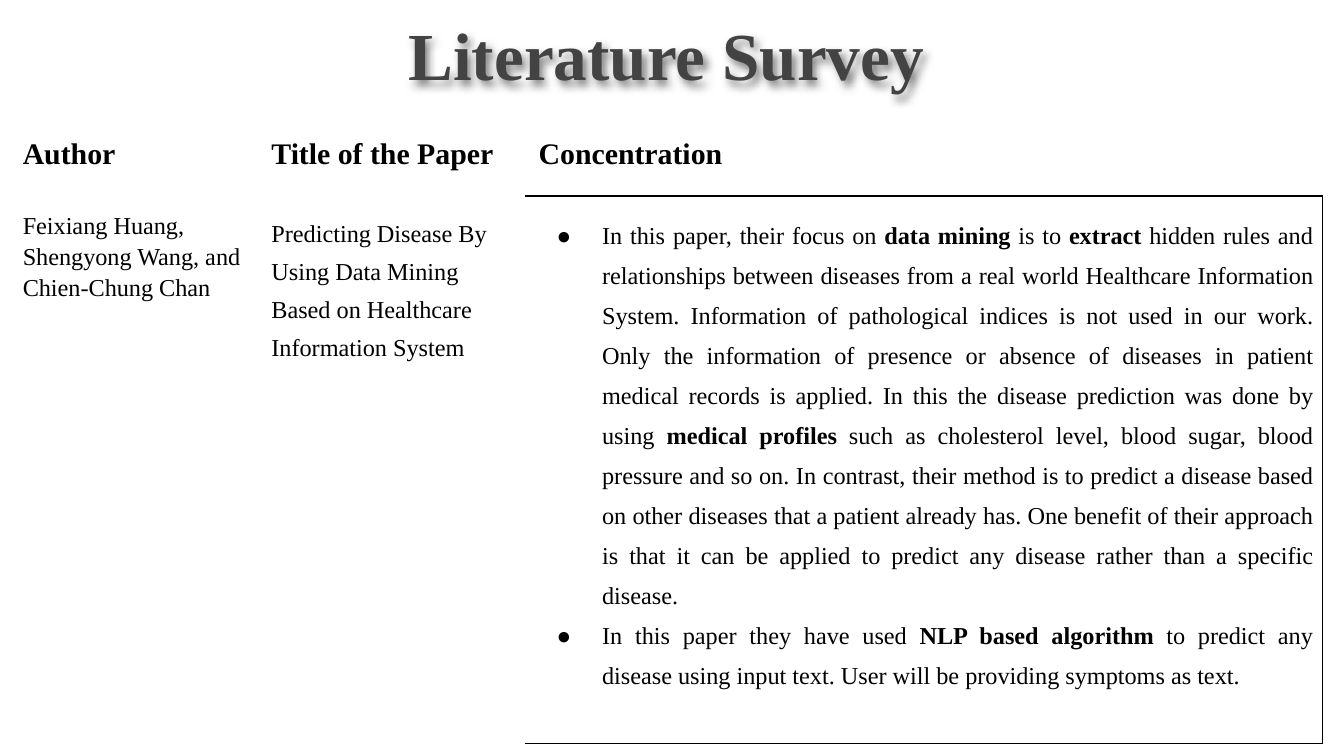
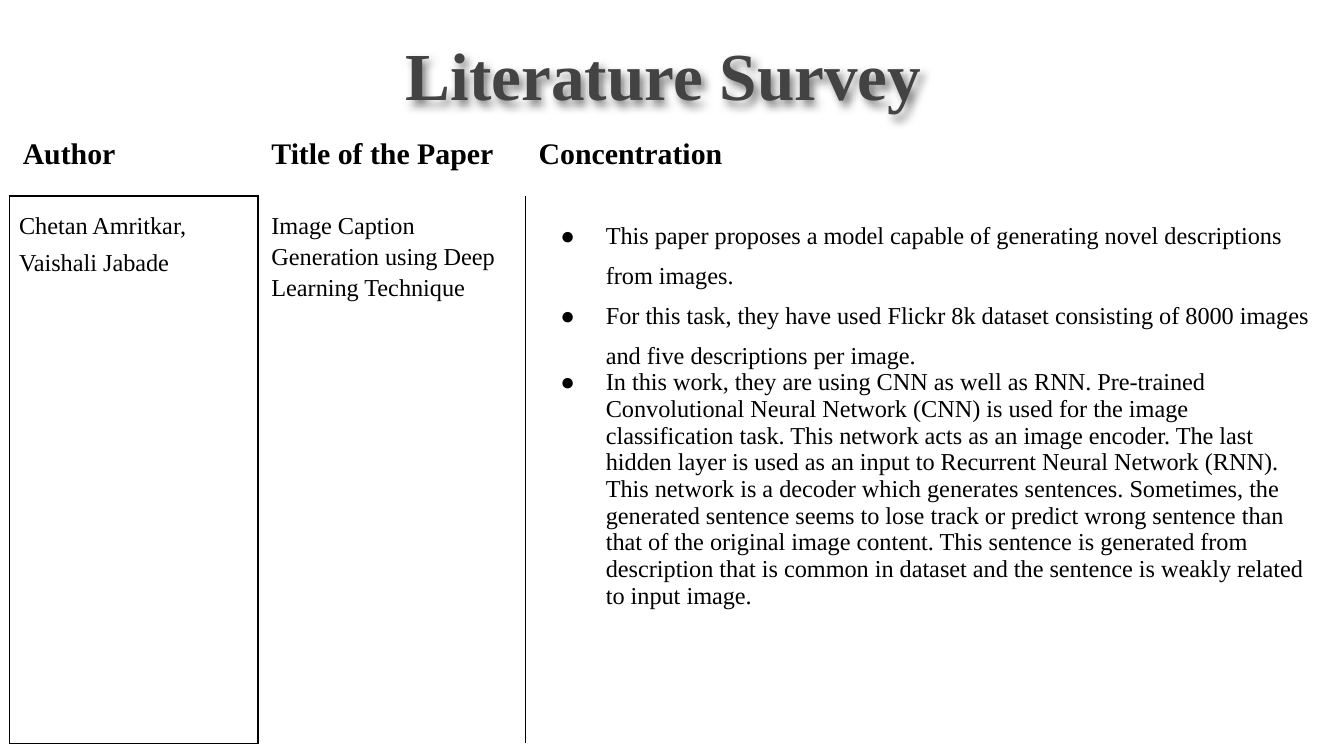
from lxml.etree import SubElement
from pptx import Presentation
from pptx.dml.color import RGBColor
from pptx.enum.text import MSO_ANCHOR, MSO_AUTO_SIZE, PP_ALIGN
from pptx.oxml.ns import qn
from pptx.util import Cm, Pt

FONT = "Times New Roman"
COLORS = {"title": "434343", "text": "000000", "border": "000000", "shadow": "000000"}
NO_GRID_STYLE = "{2D5ABB26-0587-4C30-8999-92F81FD0307C}"

TITLE = "Literature Survey"
HEADERS = ["Author", "Title of the Paper", "Concentration"]
COLUMN_WIDTHS = [4.7, 5.05, 15.06]
ROW_HEIGHTS = [1.35, 10.34]
TABLE_LEFT, TABLE_TOP = 0.18, 2.36
TITLE_SIZE = (23.67, 1.96)
MARGIN, NARROW_MARGIN = 0.25, 0.18

# Each entry of "cells" describes one column; **...** marks bold words.
# "borders" maps (row, column) to the drawn sides of that cell.
SURVEYS = [
    {
        "title_at": (0.76, 0),
        "cells": [
            {"paragraphs": ["Feixiang Huang, Shengyong Wang, and Chien-Chung Chan"], "spacing": [1.15]},
            {"paragraphs": ["Predicting Disease By Using Data Mining Based on Healthcare "
                            "Information System"], "spacing": [1.43]},
            {"paragraphs": [
                "In this paper, their focus on **data mining** is to **extract** hidden rules and "
                "relationships between diseases from a real world Healthcare Information System. "
                "Information of pathological indices is not used in our work. Only the information "
                "of presence or absence of diseases in patient medical records is applied. In this "
                "the disease prediction was done by using **medical profiles** such as cholesterol "
                "level, blood sugar, blood pressure and so on. In contrast, their method is to "
                "predict a disease based on other diseases that a patient already has. One benefit "
                "of their approach is that it can be applied to predict any disease rather than a "
                "specific disease.",
                "In this paper they have used **NLP based algorithm** to predict any disease using "
                "input text. User will be providing symptoms as text.",
            ], "spacing": [1.5, 1.5], "bullets": True, "align": PP_ALIGN.JUSTIFY,
                "margin": NARROW_MARGIN},
        ],
        "borders": {(0, 2): "B", (1, 2): "RTB"},
    },
    {
        "title_at": (0.71, 0.38),
        "cells": [
            {"paragraphs": ["Chetan Amritkar,", "Vaishali Jabade"], "spacing": [1.15, 1.15],
             "gap": 3, "margin": NARROW_MARGIN},
            {"paragraphs": ["Image Caption Generation using Deep Learning Technique"],
             "spacing": [1.15]},
            {"paragraphs": [
                "This paper proposes a model capable of generating novel descriptions from images.",
                "For this task, they have used Flickr 8k dataset consisting of 8000 images and five "
                "descriptions per image.",
                "In this work, they are using CNN as well as RNN. Pre-trained Convolutional Neural "
                "Network (CNN) is used for the image classification task. This network acts as an "
                "image encoder. The last hidden layer is used as an input to Recurrent Neural "
                "Network (RNN). This network is a decoder which generates sentences. Sometimes, the "
                "generated sentence seems to lose track or predict wrong sentence than that of the "
                "original image content. This sentence is generated from description that is common "
                "in dataset and the sentence is weakly related to input image.",
            ], "spacing": [1.5, 1.5, 1.0], "bullets": True},
        ],
        "borders": {(0, 0): "B", (1, 0): "LRTB", (1, 1): "LR", (1, 2): "L"},
    },
]


def style_run(run, size, color, bold):
    run.font.name = FONT
    run.font.size = Pt(size)
    run.font.bold = bold
    run.font.color.rgb = RGBColor.from_string(COLORS[color])


def add_shadow(shape):
    effects = SubElement(shape._element.spPr, qn("a:effectLst"))
    shadow = SubElement(effects, qn("a:outerShdw"), blurRad="57150", dist="38100",
                        dir="3600000", algn="bl", rotWithShape="0")
    color = SubElement(shadow, qn("a:srgbClr"), val=COLORS["shadow"])
    SubElement(color, qn("a:alpha"), val="50000")


def add_title(slide, position):
    title = slide.shapes.title
    title.left, title.top = map(Cm, position)
    title.width, title.height = map(Cm, TITLE_SIZE)
    frame = title.text_frame
    frame.text = TITLE
    frame.word_wrap = True
    frame.auto_size = MSO_AUTO_SIZE.NONE
    frame.vertical_anchor = MSO_ANCHOR.TOP
    frame.margin_left = frame.margin_right = frame.margin_top = frame.margin_bottom = Cm(MARGIN)
    frame.paragraphs[0].alignment = PP_ALIGN.CENTER
    style_run(frame.paragraphs[0].runs[0], 36, "title", True)
    title.fill.background()
    add_shadow(title)


def add_bullet(paragraph):
    properties = paragraph._p.get_or_add_pPr()
    properties.set("marL", str(Cm(1.27)))
    properties.set("indent", str(-Cm(0.86)))
    color = SubElement(properties, qn("a:buClr"))
    SubElement(color, qn("a:srgbClr"), val=COLORS["text"])
    SubElement(properties, qn("a:buFont"), typeface=FONT)
    SubElement(properties, qn("a:buChar"), char="●")


def draw_borders(cell, sides):
    properties = cell._tc.get_or_add_tcPr()
    for side in sides:
        line = SubElement(properties, qn(f"a:ln{side}"), w=str(Pt(1)))
        fill = SubElement(line, qn("a:solidFill"))
        SubElement(fill, qn("a:srgbClr"), val=COLORS["border"])


def fill_cell(cell, content, size, bold=False):
    cell.margin_left = cell.margin_right = Cm(content.get("margin", MARGIN))
    cell.margin_top = cell.margin_bottom = Cm(MARGIN)
    cell.vertical_anchor = MSO_ANCHOR.TOP
    frame = cell.text_frame
    for index, (text, spacing) in enumerate(zip(content["paragraphs"], content["spacing"])):
        paragraph = frame.add_paragraph() if index else frame.paragraphs[0]
        if content.get("bullets"):
            add_bullet(paragraph)
        paragraph.alignment = content.get("align", PP_ALIGN.LEFT)
        paragraph.line_spacing = spacing
        if index and "gap" in content:
            paragraph.space_before = Pt(content["gap"])
        for part, words in enumerate(text.split("**")):
            run = paragraph.add_run()
            run.text = words
            style_run(run, size, "text", bold or part % 2 == 1)


def add_survey_table(slide, survey):
    table = slide.shapes.add_table(
        len(ROW_HEIGHTS), len(HEADERS), Cm(TABLE_LEFT), Cm(TABLE_TOP),
        Cm(sum(COLUMN_WIDTHS)), Cm(sum(ROW_HEIGHTS))).table
    table.first_row = table.horz_banding = False
    table._tbl.tblPr.find(qn("a:tableStyleId")).text = NO_GRID_STYLE
    for row, height in zip(table.rows, ROW_HEIGHTS):
        row.height = Cm(height)
    for index, (header, width) in enumerate(zip(HEADERS, COLUMN_WIDTHS)):
        table.columns[index].width = Cm(width)
        fill_cell(table.cell(0, index), {"paragraphs": [header], "spacing": [1.0]}, 16, True)
        fill_cell(table.cell(1, index), survey["cells"][index], 13)
        for row in range(len(ROW_HEIGHTS)):
            cell = table.cell(row, index)
            draw_borders(cell, survey["borders"].get((row, index), ""))
            cell.fill.background()


def main():
    deck = Presentation()
    deck.slide_width, deck.slide_height = Cm(25.4), Cm(14.29)
    title_only = deck.slide_layouts[5]
    for survey in SURVEYS:
        slide = deck.slides.add_slide(title_only)
        add_title(slide, survey["title_at"])
        add_survey_table(slide, survey)
    deck.save("out.pptx")


if __name__ == "__main__":
    main()
